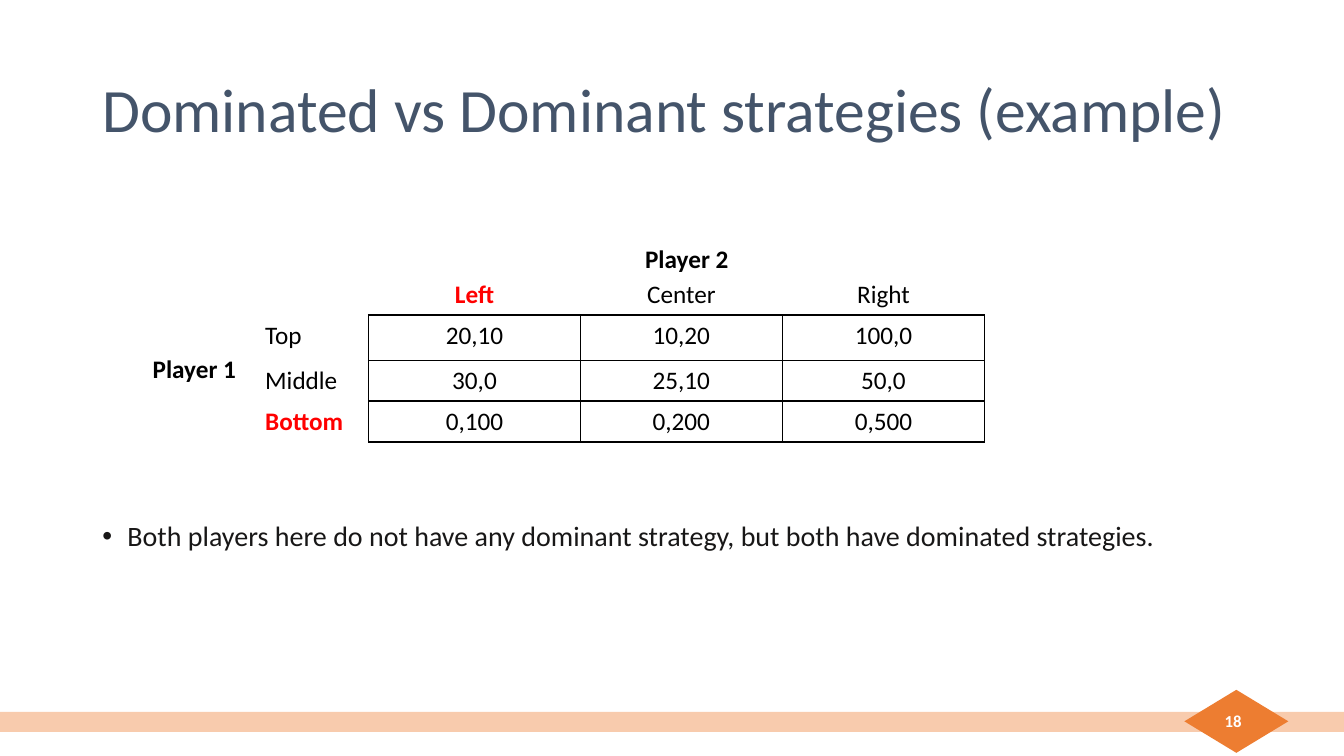
from dataclasses import dataclass

import pptx
import pptx.dml.color
import pptx.enum.shapes
import pptx.enum.text
import pptx.oxml
import pptx.oxml.ns
import pptx.util
from pptx.enum.shapes import MSO_SHAPE
from pptx.enum.text import MSO_ANCHOR, PP_ALIGN

EMU_PER_PX = 9525
FONT = "Calibri"
COLOURS = {
    "title": "44546A",
    "body": "181717",
    "black": "000000",
    "dominated": "FF0000",
    "white": "FFFFFF",
    "band": "F8CBAD",
    "badge": "ED7D31",
}
PAYOFFS = [
    ["", "Left", "Center", "Right"],
    ["Top", "20,10", "10,20", "100,0"],
    ["Middle", "30,0", "25,10", "50,0"],
    ["Bottom", "0,100", "0,200", "0,500"],
]
DOMINATED = {"Left", "Bottom"}
COLUMN_WIDTHS = [108, 202, 192, 193]
ROW_HEIGHTS = [39, 43, 39, 39]
NO_TABLE_STYLE = "{2D5ABB26-0587-4C30-8999-92F81FD0307C}"


@dataclass
class Box:
    left: int
    top: int
    width: int
    height: int

    def emu(self) -> list[int]:
        return [px(n) for n in (self.left, self.top, self.width, self.height)]


@dataclass
class Ornament:
    shape: MSO_SHAPE
    box: Box
    colour: str


@dataclass
class Label:
    text: str
    box: Box
    size: int
    colour: str
    bold: bool = False
    align: PP_ALIGN = PP_ALIGN.LEFT
    anchor: MSO_ANCHOR = MSO_ANCHOR.TOP
    wrap: bool = True
    line_spacing: float = 1.0
    bullet: bool = False


ORNAMENTS = [
    Ornament(MSO_SHAPE.RECTANGLE, Box(0, 678, 1280, 19), "band"),
    Ornament(MSO_SHAPE.DIAMOND, Box(1128, 657, 99, 60), "badge"),
]
LABELS = [
    Label("Dominated vs Dominant strategies (example)", Box(88, 38, 1104, 139), 44, "title",
          anchor=MSO_ANCHOR.MIDDLE, line_spacing=0.9),
    Label("Both players here do not have any dominant strategy, but both have dominated strategies.",
          Box(88, 493, 1086, 40), 20, "body", line_spacing=0.9, bullet=True),
    Label("Player 2", Box(605, 227, 100, 38), 18, "black", bold=True, wrap=False),
    Label("Player 1", Box(136, 332, 100, 38), 18, "black", bold=True, wrap=False),
    Label("18", Box(904, 667, 288, 38), 12, "white", bold=True,
          align=PP_ALIGN.RIGHT, anchor=MSO_ANCHOR.MIDDLE),
]


def px(count: int) -> int:
    return pptx.util.Emu(count * EMU_PER_PX)


def rgb(name: str) -> pptx.dml.color.RGBColor:
    return pptx.dml.color.RGBColor.from_string(COLOURS[name])


def set_font(paragraph, size: int, colour: str, bold: bool) -> None:
    font = paragraph.font
    font.name = FONT
    font.size = pptx.util.Pt(size)
    font.bold = bold
    font.color.rgb = rgb(colour)


def add_bullet(paragraph) -> None:
    properties = paragraph._p.get_or_add_pPr()
    properties.set("marL", str(px(24)))
    properties.set("indent", str(-px(24)))
    ns = pptx.oxml.ns.nsdecls("a")
    properties.append(pptx.oxml.parse_xml(f'<a:buFont {ns} typeface="Arial"/>'))
    properties.append(pptx.oxml.parse_xml(f'<a:buChar {ns} char="•"/>'))


def add_ornament(slide, ornament: Ornament) -> None:
    shape = slide.shapes.add_shape(ornament.shape, *ornament.box.emu())
    shape.shadow.inherit = False
    shape.fill.solid()
    shape.fill.fore_color.rgb = rgb(ornament.colour)
    shape.line.fill.background()


def add_label(slide, label: Label) -> None:
    frame = slide.shapes.add_textbox(*label.box.emu()).text_frame
    frame.word_wrap = label.wrap
    frame.vertical_anchor = label.anchor
    paragraph = frame.paragraphs[0]
    paragraph.text = label.text
    paragraph.alignment = label.align
    paragraph.line_spacing = label.line_spacing
    if label.bullet:
        add_bullet(paragraph)
    set_font(paragraph, label.size, label.colour, label.bold)


def add_borders(cell, sides: str) -> None:
    """Draw 1 pt lines on the given sides, listed in the order L, R, T, B."""
    properties = cell._tc.get_or_add_tcPr()
    for index, side in enumerate(sides):
        properties.insert(index, pptx.oxml.parse_xml(
            f'<a:ln{side} {pptx.oxml.ns.nsdecls("a")} w="12700"><a:solidFill>'
            f'<a:srgbClr val="{COLOURS["black"]}"/></a:solidFill></a:ln{side}>'))


def cell_sides(row: int, column: int) -> str:
    if row and column:
        return "LRTB"
    if row:
        return "R"
    return "B" if column else ""


def add_payoff_table(slide, left: int, top: int) -> None:
    box = Box(left, top, sum(COLUMN_WIDTHS), sum(ROW_HEIGHTS))
    table = slide.shapes.add_table(len(PAYOFFS), len(PAYOFFS[0]), *box.emu()).table
    table.first_row = table.horz_banding = False
    table._tbl.tblPr.find(pptx.oxml.ns.qn("a:tableStyleId")).text = NO_TABLE_STYLE
    for column, width in zip(table.columns, COLUMN_WIDTHS):
        column.width = px(width)
    for row, height in zip(table.rows, ROW_HEIGHTS):
        row.height = px(height)
    for r, texts in enumerate(PAYOFFS):
        for c, text in enumerate(texts):
            cell = table.cell(r, c)
            cell.fill.background()
            add_borders(cell, cell_sides(r, c))
            paragraph = cell.text_frame.paragraphs[0]
            paragraph.text = text
            paragraph.alignment = PP_ALIGN.CENTER if c else PP_ALIGN.LEFT
            dominated = text in DOMINATED
            set_font(paragraph, 18, "dominated" if dominated else "black", dominated)


def main() -> None:
    presentation = pptx.Presentation()
    presentation.slide_width = px(1280)
    presentation.slide_height = px(720)
    slide = presentation.slides.add_slide(presentation.slide_layouts[6])
    for ornament in ORNAMENTS:
        add_ornament(slide, ornament)
    add_payoff_table(slide, 243, 261)
    for label in LABELS:
        add_label(slide, label)
    presentation.save("out.pptx")


if __name__ == "__main__":
    main()
